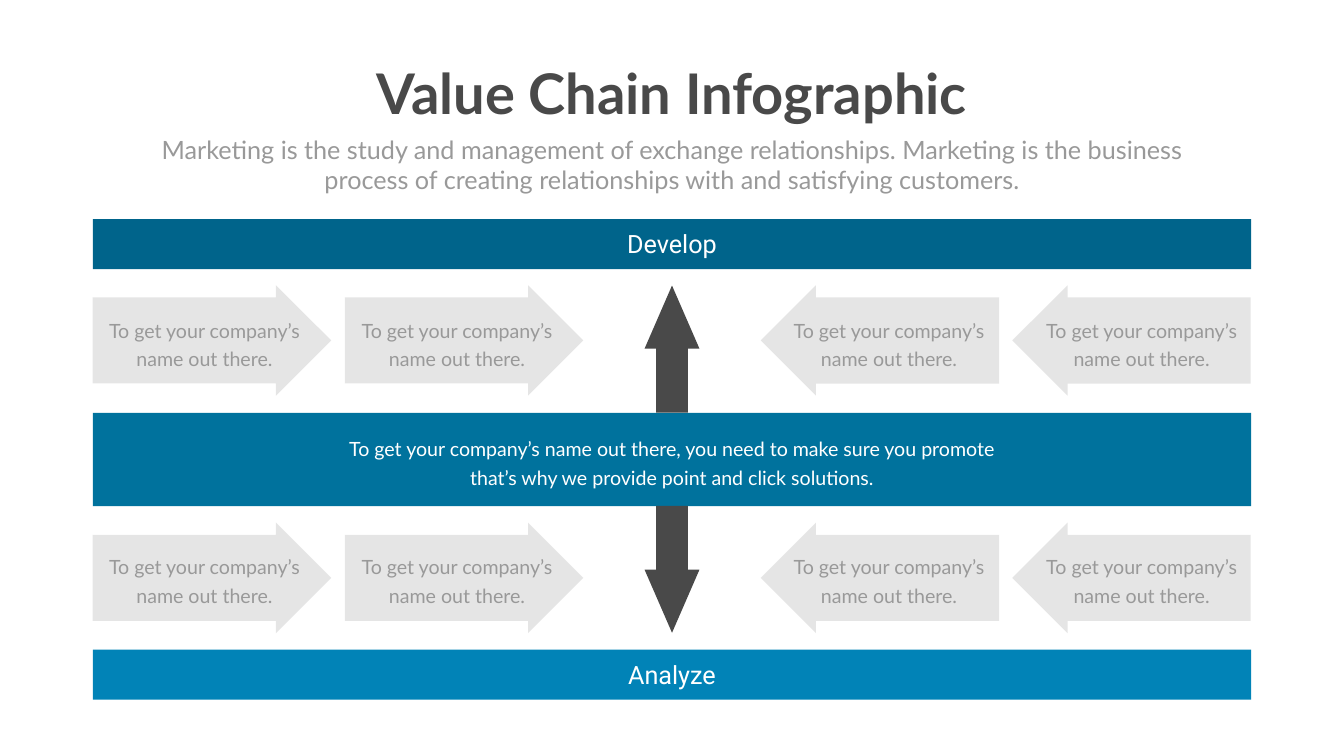
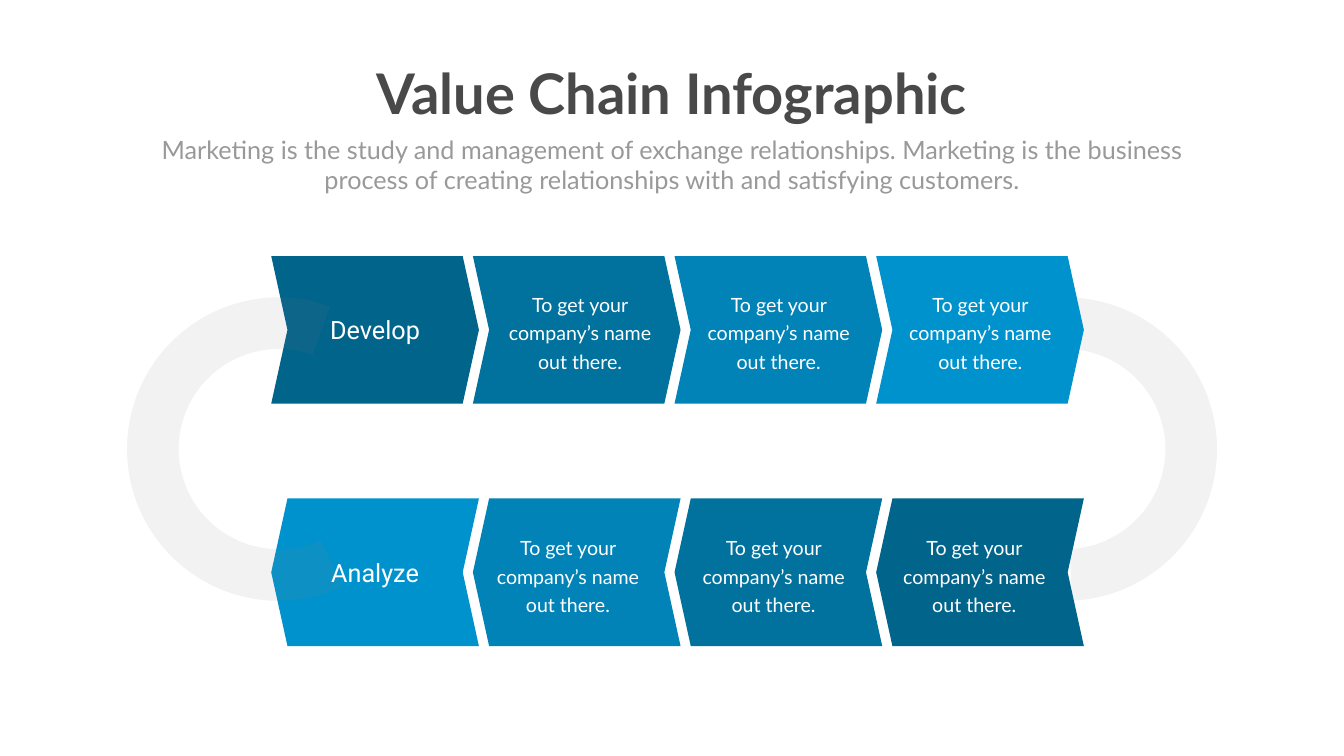
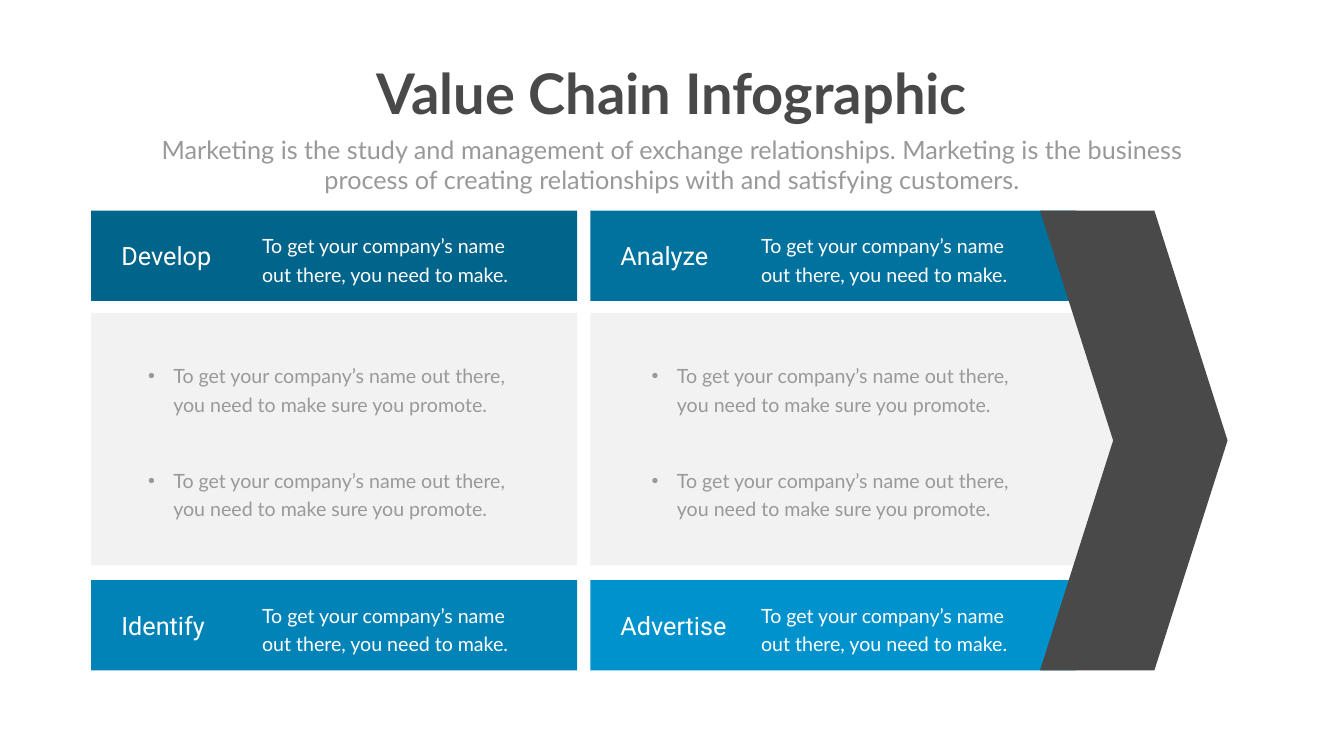
import lxml.etree
import pptx
import pptx.dml.color
import pptx.enum.shapes
import pptx.enum.text
import pptx.oxml.ns
import pptx.util

Inches = pptx.util.Inches
Pt = pptx.util.Pt
qn = pptx.oxml.ns.qn
SHAPE = pptx.enum.shapes.MSO_SHAPE
ALIGN = pptx.enum.text.PP_ALIGN
AUTO_SIZE = pptx.enum.text.MSO_AUTO_SIZE
ANCHOR = pptx.enum.text.MSO_ANCHOR

COLORS = {
    "deep": "00648B",
    "blue": "00729D",
    "mid": "0183B7",
    "bright": "0092CC",
    "dark": "494949",
    "gray": "808080",
    "text": "999999",
    "white": "FFFFFF",
}
SHADES = ["deep", "blue", "mid", "bright"]

HEADING = "Value Chain Infographic"
INTRO = (
    "Marketing is the study and management of exchange relationships. "
    "Marketing is the business process of creating relationships with and "
    "satisfying customers."
)
SHORT = "To get your company’s name out there."
MEDIUM = "To get your company’s name out there, you need to make."
PROMOTE = "To get your company’s name out there, you need to make sure you promote."
LONG = (
    "To get your company’s name out there, you need to make sure you promote "
    "that’s why we provide point and click solutions."
)


def color(name):
    return pptx.dml.color.RGBColor.from_string(COLORS[name])


class Deck:
    """Holds the shared style and the slide being filled."""

    def __init__(self):
        self.prs = pptx.Presentation()
        self.prs.slide_width = Inches(26.66)
        self.prs.slide_height = Inches(15)
        self.slide = None

    def new_slide(self):
        self.slide = self.prs.slides.add_slide(self.prs.slide_layouts[0])
        title, intro = self.slide.placeholders
        self.place(title, 7.21, 1.12, 12.24, 1.45)
        self.fill_text(title, HEADING, 80, "Lato", "dark", bold=True)
        title.text_frame.word_wrap = False
        self.place(intro, 2.92, 2.61, 20.82, 1.31)
        self.fill_text(intro, INTRO, 36, "Lato", "text")

    def place(self, shape, left, top, width, height):
        shape.left, shape.top = Inches(left), Inches(top)
        shape.width, shape.height = Inches(width), Inches(height)

    def fill_text(self, shape, text, size, font, shade, align=ALIGN.CENTER,
                  leading=None, bold=False, bullet=False):
        frame = shape.text_frame
        frame.word_wrap = True
        frame.auto_size = AUTO_SIZE.SHAPE_TO_FIT_TEXT
        frame.vertical_anchor = ANCHOR.TOP
        paragraph = frame.paragraphs[0]
        if bullet:
            self.add_bullet(paragraph)
        paragraph.alignment = align
        paragraph.space_before = Pt(0)
        if leading:
            paragraph.line_spacing = Pt(leading)
        run = paragraph.add_run()
        run.text = text
        run.font.size = Pt(size)
        run.font.name = font
        run.font.bold = bold
        run.font.color.rgb = color(shade)

    def add_bullet(self, paragraph):
        props = paragraph._p.get_or_add_pPr()
        props.set("marL", str(Inches(0.5)))
        props.set("indent", str(-Inches(0.5)))
        lxml.etree.SubElement(props, qn("a:buFont")).set("typeface", "Arial")
        lxml.etree.SubElement(props, qn("a:buChar")).set("char", "•")

    def shape(self, kind, left, top, width, height, fill, opacity=100,
              rotation=0, adjust=()):
        shape = self.slide.shapes.add_shape(
            kind, Inches(left), Inches(top), Inches(width), Inches(height))
        shape.shadow.inherit = False
        shape.line.fill.background()
        shape.fill.solid()
        shape.fill.fore_color.rgb = color(fill)
        if opacity < 100:
            paint = shape._element.spPr.find(f"{qn('a:solidFill')}/{qn('a:srgbClr')}")
            lxml.etree.SubElement(paint, qn("a:alpha")).set("val", str(opacity * 1000))
        shape.rotation = rotation
        for index, value in enumerate(adjust):
            shape.adjustments[index] = value

    def text_box(self, left, top, width, height):
        return self.slide.shapes.add_textbox(
            Inches(left), Inches(top), Inches(width), Inches(height))

    def label(self, text, left, top, width=2.6, align=ALIGN.CENTER):
        box = self.text_box(left, top, width, 0.71)
        self.fill_text(box, text, 36, "Roboto", "white", align)

    def body(self, text, left, top, width, height=1.19, shade="white",
             align=ALIGN.CENTER, bullet=False):
        box = self.text_box(left, top, width, height)
        self.fill_text(box, text, 28, "Lato", shade, align, leading=40.8, bullet=bullet)


def build_converging_arrows(deck):
    deck.new_slide()
    for top, height, shade in [(4.35, 0.99, "deep"), (8.19, 1.85, "blue"),
                               (12.89, 0.99, "mid")]:
        deck.shape(SHAPE.RECTANGLE, 1.84, top, 22.98, height, shade)
    deck.label("Develop", 12.03, 4.49)
    deck.label("Analyze", 12.03, 13.03)
    deck.body(LONG, 6.72, 8.52, 13.21)

    steps = [(1.84, 1.95, 0), (6.84, 6.96, 0), (15.09, 15.53, 180), (20.08, 20.54, 180)]
    for arrow_top, text_top in [(5.66, 6.17), (10.37, 10.87)]:
        for arrow_left, text_left, rotation in steps:
            deck.shape(SHAPE.RIGHT_ARROW, arrow_left, arrow_top, 4.73, 2.19, "gray",
                       opacity=20, rotation=rotation, adjust=(0.78, 0.5))
            deck.body(SHORT, text_left, text_top, 4.21, shade="text")
    for top, rotation in [(6.38, 270), (10.75, 90)]:
        deck.shape(SHAPE.RIGHT_ARROW, 12.07, top, 2.52, 1.09, "dark",
                   rotation=rotation, adjust=(0.58, 1.15))


def build_loop(deck):
    deck.new_slide()
    deck.shape(SHAPE.BLOCK_ARC, 18.12, 5.9, 6.02, 6.02, "gray", opacity=10,
               rotation=90, adjust=(108, 214.47, 0.17))
    rows = [(5.08, 0, SHADES), (9.89, 180, SHADES[::-1])]
    for top, rotation, shades in rows:
        for column, shade in enumerate(shades):
            deck.shape(SHAPE.CHEVRON, 5.38 + 4 * column, top, 4.12, 2.93, shade,
                       rotation=rotation, adjust=(0.11,))
    deck.shape(SHAPE.BLOCK_ARC, 2.52, 5.9, 6.02, 6.02, "gray", opacity=10,
               rotation=270, adjust=(93.13, 11.85, 0.17))

    for name, label_top, text_top, text_lefts in [
            ("Develop", 6.19, 5.66, (9.71, 13.65, 17.65)),
            ("Analyze", 11.01, 10.49, (9.47, 13.55, 17.53))]:
        deck.label(name, 6.14, label_top)
        for left in text_lefts:
            deck.body(SHORT, left, text_top, 3.59, 1.77)


def build_panels(deck):
    deck.new_slide()
    columns = [
        (1.81, 9.64, 2.84, [("Develop", "deep"), ("Identify", "mid")]),
        (11.71, 10.97, 12.83, [("Analyze", "blue"), ("Advertise", "bright")]),
    ]
    for left, panel_width, list_left, bands in columns:
        deck.shape(SHAPE.RECTANGLE, left, 6.21, panel_width, 5.01, "gray", opacity=10)
        for top, (name, shade) in zip((4.18, 11.51), bands):
            deck.shape(SHAPE.RECTANGLE, left, top, 9.64, 1.79, shade)
            deck.label(name, left + 0.5, top + 0.54, 3.75, ALIGN.LEFT)
            deck.body(MEDIUM, left + 3.29, top + 0.32, 5.26, align=ALIGN.LEFT)
        for top in (7.08, 9.15):
            deck.body(PROMOTE, list_left, top, 7.73, shade="text",
                      align=ALIGN.LEFT, bullet=True)
    deck.shape(SHAPE.CHEVRON, 20.63, 4.18, 3.72, 9.12, "dark", adjust=(0.39,))


def main():
    deck = Deck()
    build_converging_arrows(deck)
    build_loop(deck)
    build_panels(deck)
    deck.prs.save("out.pptx")


if __name__ == "__main__":
    main()
